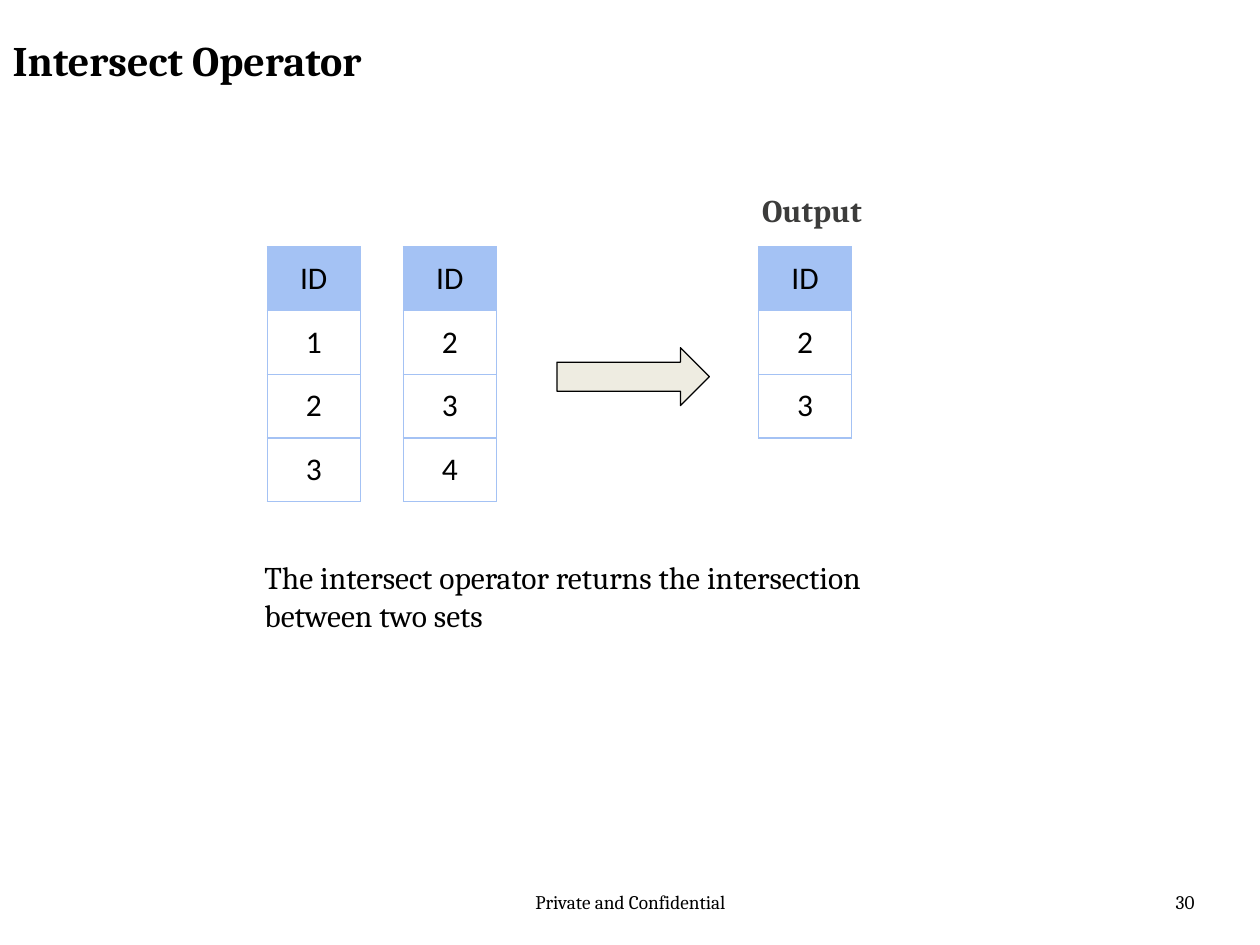
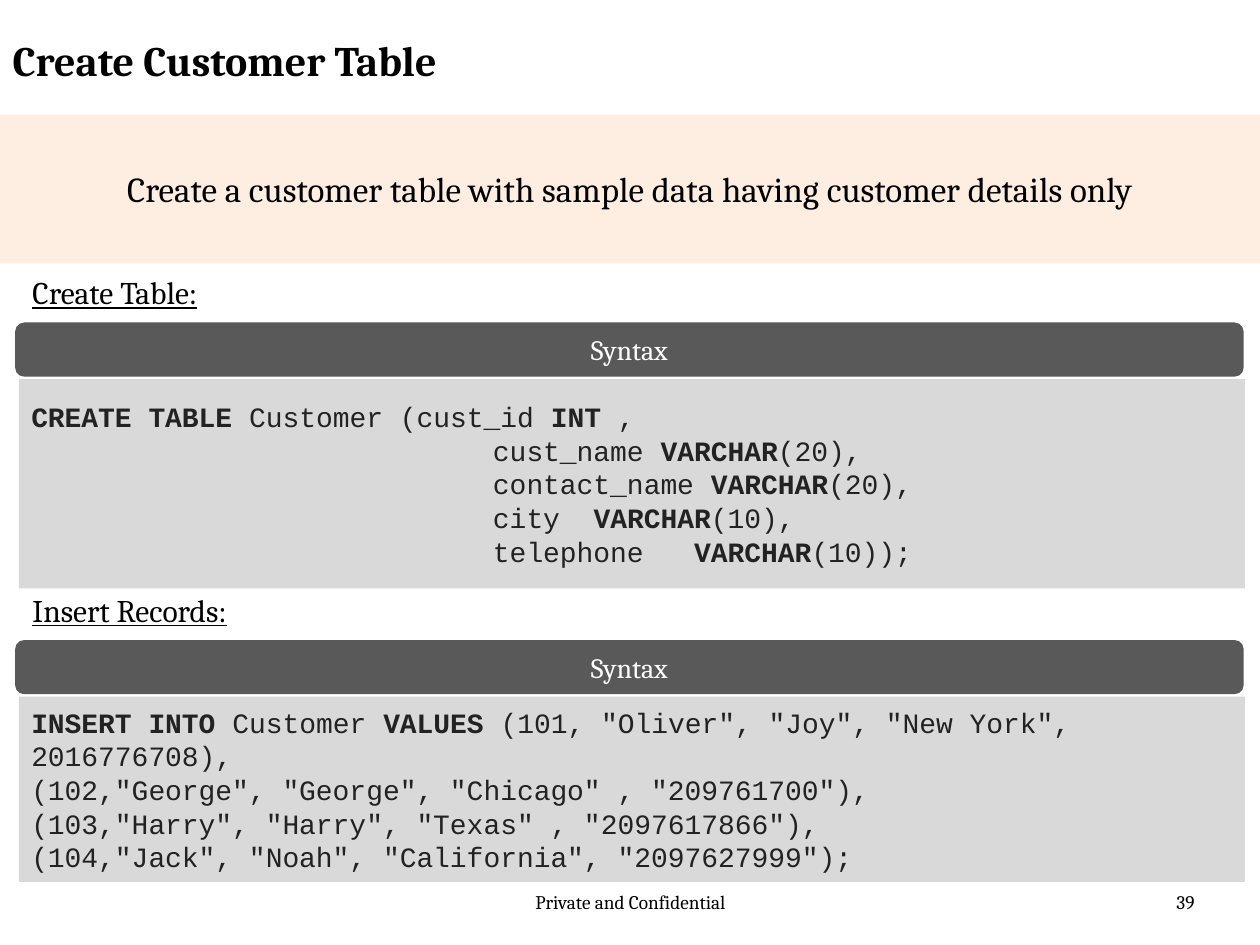
from lxml import etree
from pptx import Presentation
from pptx.dml.color import RGBColor
from pptx.enum.shapes import MSO_SHAPE
from pptx.enum.text import MSO_ANCHOR, MSO_AUTO_SIZE, PP_ALIGN
from pptx.oxml.ns import qn
from pptx.util import Inches, Pt

LEFT, CENTER, RIGHT = PP_ALIGN.LEFT, PP_ALIGN.CENTER, PP_ALIGN.RIGHT
TOP, MIDDLE = MSO_ANCHOR.TOP, MSO_ANCHOR.MIDDLE
FIXED = MSO_AUTO_SIZE.NONE
RECTANGLE, ROUNDED, ARROW = (
    MSO_SHAPE.RECTANGLE, MSO_SHAPE.ROUNDED_RECTANGLE, MSO_SHAPE.RIGHT_ARROW)

COLORS = {
    "ink": "000000",
    "white": "FFFFFF",
    "label": "3C3C3B",
    "table": "A4C2F4",
    "arrow": "EEECE1",
    "band": "FDEADA",
    "bar": "595959",
    "code_fill": "D9D9D9",
    "code_ink": "222222",
}
SERIF, SANS, MONO = "Cambria", "Calibri", "Courier New"
TITLE_ONLY = 5
CODE_INDENT = "\t\t\t     "
CREATE_CODE = [
    "*CREATE TABLE* Customer (cust_id *INT* ,",
    CODE_INDENT + "cust_name *VARCHAR*(20),",
    CODE_INDENT + "contact_name *VARCHAR*(20),",
    CODE_INDENT + "city  *VARCHAR*(10),",
    CODE_INDENT + "telephone   *VARCHAR*(10));",
]
INSERT_CODE = [
    '*INSERT INTO* Customer *VALUES* (101, "Oliver", "Joy", "New York", 2016776708),',
    '(102,"George", "George", "Chicago" , "209761700"),',
    '(103,"Harry", "Harry", "Texas" , "2097617866"),',
    '(104,"Jack", "Noah", "California", "2097627999");',
]


def color(name):
    """Return the named colour."""
    return RGBColor.from_string(COLORS[name])


def inches(box):
    """Convert a left, top, width, height box to lengths."""
    return [Inches(value) for value in box]


def add_span(para, text, size, font=SERIF, ink="ink", bold=False, underline=False):
    """Add one formatted run to a paragraph."""
    span = para.add_run()
    span.text = text
    span.font.name, span.font.size = font, Pt(size)
    span.font.bold, span.font.underline = bold, underline
    span.font.color.rgb = color(ink)


def prepare(frame, anchor=TOP, inset=0.05):
    """Set wrapping, anchor and margins, and return the first paragraph."""
    frame.word_wrap, frame.auto_size = True, FIXED
    frame.vertical_anchor = anchor
    frame.margin_left = frame.margin_right = Inches(0.1)
    frame.margin_top = frame.margin_bottom = Inches(inset)
    return frame.paragraphs[0]


def add_text(page, box, text, size, align=LEFT, inset=0.05, **style):
    """Add a text box holding one paragraph."""
    para = prepare(page.shapes.add_textbox(*inches(box)).text_frame, inset=inset)
    para.alignment = align
    add_span(para, text, size, **style)


def add_panel(page, kind, box, fill):
    """Add a filled shape without outline or shadow."""
    panel = page.shapes.add_shape(kind, *inches(box))
    panel.shadow.inherit = False
    panel.fill.solid()
    panel.fill.fore_color.rgb = color(fill)
    panel.line.fill.background()
    return panel


def add_label_panel(page, kind, box, fill, text, size, ink):
    """Add a filled shape with centred text."""
    panel = add_panel(page, kind, box, fill)
    para = prepare(panel.text_frame, MIDDLE)
    para.alignment = CENTER
    add_span(para, text, size, ink=ink)
    return panel


def add_page(deck, title, number):
    """Add a page with its title, footer and page number."""
    page = deck.slides.add_slide(deck.slide_layouts[TITLE_ONLY])
    heading = page.shapes.title
    heading.left, heading.top, heading.width, heading.height = inches((0, 0.22, 7.59, 0.62))
    para = prepare(heading.text_frame)
    para.alignment = LEFT
    add_span(para, title, 24, bold=True)
    add_text(page, (3.42, 7.02, 3.17, 0.4), "Private and Confidential", 11, CENTER)
    add_text(page, (7.25, 7.02, 2.33, 0.4), str(number), 11, RIGHT)
    return page


def add_borders(cell):
    """Outline a table cell on all four sides."""
    properties = cell._tc.get_or_add_tcPr()
    for side in ("lnL", "lnR", "lnT", "lnB"):
        line = etree.SubElement(properties, qn(f"a:{side}"), w=str(Pt(0.75)))
        fill = etree.SubElement(line, qn("a:solidFill"))
        etree.SubElement(fill, qn("a:srgbClr"), val=COLORS["table"])


def add_id_table(page, left, top, values):
    """Add a one-column table of identifiers under an ID header."""
    width, row_height = 0.74, 0.5
    entries = ["ID", *values]
    box = (left, top, width, row_height * len(entries))
    table = page.shapes.add_table(len(entries), 1, *inches(box)).table
    table.first_row = table.horz_banding = False
    for index, entry in enumerate(entries):
        cell = table.cell(index, 0)
        add_borders(cell)
        if index == 0:
            cell.fill.solid()
            cell.fill.fore_color.rgb = color("table")
        else:
            cell.fill.background()
        cell.vertical_anchor = MIDDLE
        cell.margin_left = cell.margin_right = Inches(0.1)
        cell.margin_top = cell.margin_bottom = Inches(0.1)
        para = cell.text_frame.paragraphs[0]
        para.alignment = CENTER
        add_span(para, str(entry), 18, font=SANS)


def add_tab_stops(para):
    """Set tab stops one inch apart."""
    tabs = etree.SubElement(para._p.get_or_add_pPr(), qn("a:tabLst"))
    for stop in (1, 2, 3):
        etree.SubElement(tabs, qn("a:tab"), pos=str(Inches(stop)), algn="l")


def add_code(page, box, lines):
    """Add a code panel in which starred words are bold."""
    frame = add_panel(page, RECTANGLE, box, "code_fill").text_frame
    prepare(frame, MIDDLE)
    for index, line in enumerate(lines):
        para = frame.add_paragraph() if index else frame.paragraphs[0]
        para.alignment = LEFT
        add_tab_stops(para)
        for position, part in enumerate(line.split("*")):
            if part:
                add_span(para, part, 16, MONO, "code_ink", bold=position % 2 == 1)


def add_syntax_section(page, top, heading, lines, code_height):
    """Add a heading, a syntax bar and a code panel below each other."""
    add_text(page, (0.16, top, 3, 0.4), heading, 18, underline=True)
    add_label_panel(page, ROUNDED, (0.12, top + 0.44, 9.75, 0.43), "bar", "Syntax", 16, "white")
    add_code(page, (0.15, top + 0.89, 9.73, code_height), lines)


def add_task_band(page, box, text):
    """Add a translucent band stating the task."""
    band = add_label_panel(page, RECTANGLE, box, "band", text, 20, "ink")
    tint = band._element.spPr.find(f"{qn('a:solidFill')}/{qn('a:srgbClr')}")
    etree.SubElement(tint, qn("a:alpha"), val="79000")


def build_intersect_page(deck):
    """Show two sets and their intersection."""
    page = add_page(deck, "Intersect Operator", 30)
    top = 1.96
    for left, values in ((2.12, (1, 2, 3)), (3.2, (2, 3, 4)), (6.02, (2, 3))):
        add_id_table(page, left, top, values)
    add_text(page, (5.95, top - 0.54, 1.93, 0.46), "Output", 18,
             inset=0.1, ink="label", bold=True)
    arrow = add_panel(page, ARROW, (4.42, top + 0.8, 1.21, 0.46), "arrow")
    arrow.line.color.rgb = color("ink")
    arrow.line.width = Pt(0.75)
    add_text(page, (2, 4.38, 5.42, 0.71),
             "The intersect operator returns the intersection between two sets", 18)


def build_customer_page(deck):
    """Show how the customer table is created and filled."""
    page = add_page(deck, "Create Customer Table", 39)
    add_task_band(page, (0, 0.91, 10, 1.18),
                  "Create a customer table with sample data having customer details only")
    add_syntax_section(page, 2.12, "Create Table:", CREATE_CODE, 1.66)
    add_syntax_section(page, 4.64, "Insert Records:", INSERT_CODE, 1.47)


def main():
    """Build and save the deck."""
    deck = Presentation()
    deck.slide_width, deck.slide_height = Inches(10), Inches(7.5)
    build_intersect_page(deck)
    build_customer_page(deck)
    deck.save("out.pptx")


if __name__ == "__main__":
    main()
